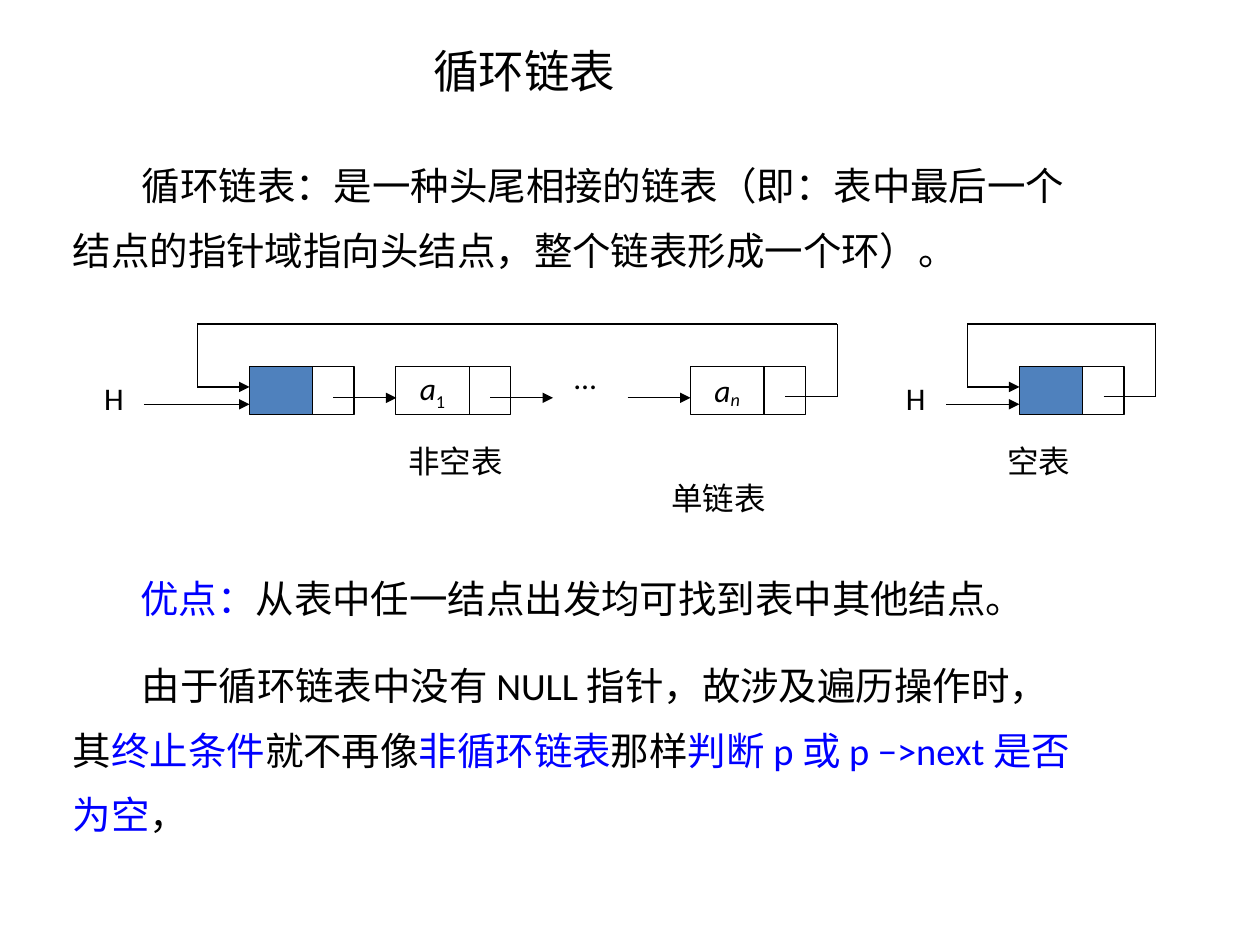
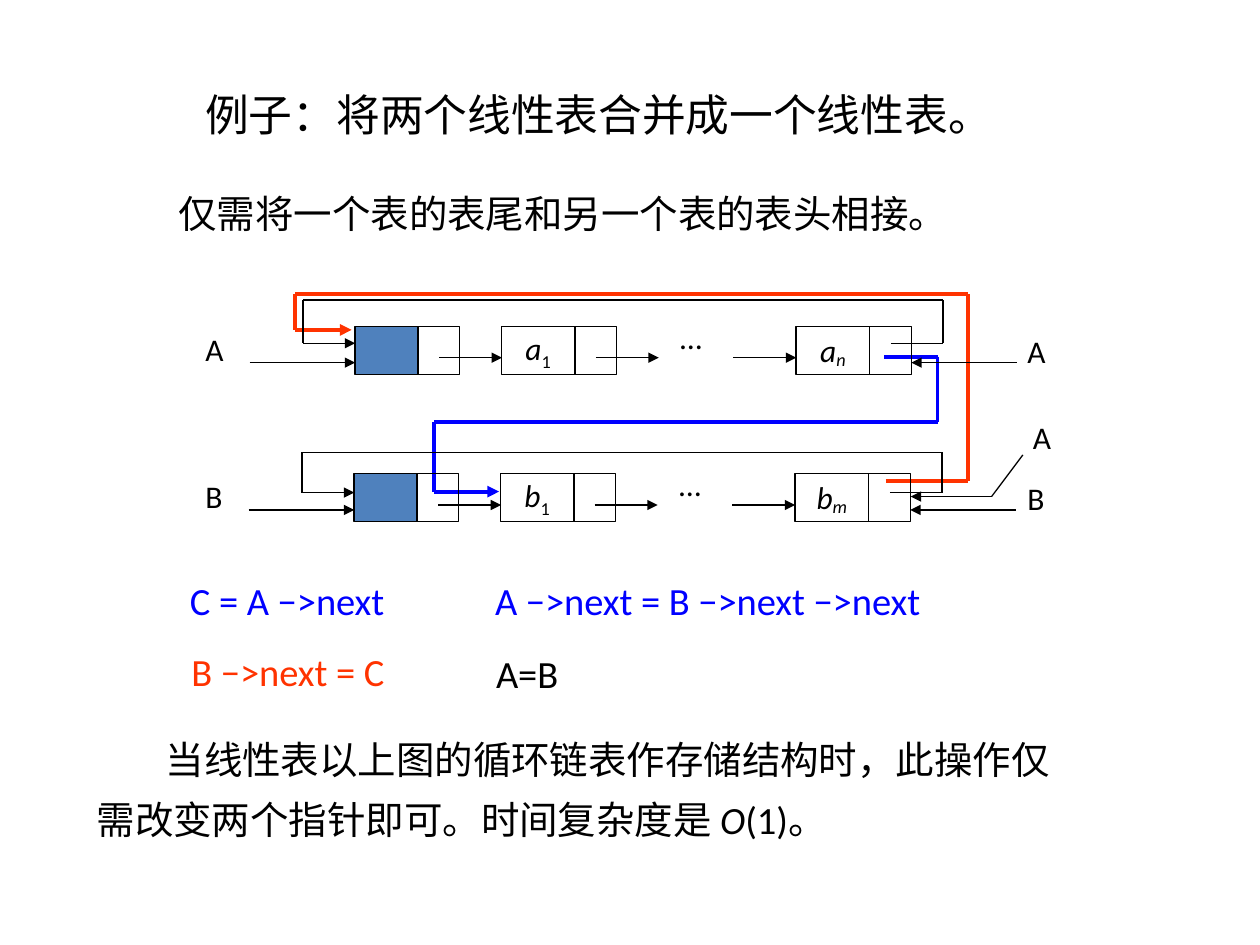
from lxml import etree
from pptx import Presentation
from pptx import util as u
from pptx.dml import color
from pptx.enum import lang, shapes, text
from pptx.oxml import ns

COLORS = {"black": "000000", "blue": "0000FF", "red": "FF3300", "head": "4F81BD"}
FONT = "Calibri"

# List geometry in centimetres, measured from the head node's corner
HEAD, DATA, POINTER, HEIGHT = 1.27, 1.48, 0.84, 0.97
FIRST_NODE, LAST_NODE = 2.95, 8.89
ARROW, ARROW_DROP = 1.27, 0.63
LOOP_SIDE = 1.05


def rgb(name):
    return color.RGBColor.from_string(COLORS[name])


class Deck:
    """Holds the style and the current slide."""

    def __init__(self):
        self.presentation = Presentation()
        self.presentation.slide_width = u.Cm(25.4)
        self.presentation.slide_height = u.Cm(19.05)
        self.slide = None

    def new_slide(self):
        self.slide = self.presentation.slides.add_slide(self.presentation.slide_layouts[6])

    def run(self, paragraph, content, size, shade="black", italic=False, baseline=0):
        run = paragraph.add_run()
        run.text = content
        font = run.font
        font.name, font.size, font.italic = FONT, u.Pt(size), italic
        font.color.rgb = rgb(shade)
        font.language_id = lang.MSO_LANGUAGE_ID.SIMPLIFIED_CHINESE
        if baseline:
            run._r.get_or_add_rPr().set("baseline", str(baseline * 1000))

    def text(self, box, paragraphs, size=22, spacing=None, indent=0):
        """Each paragraph is a list of runs: (content, colour, italic)."""
        frame = self.slide.shapes.add_textbox(*map(u.Cm, box)).text_frame
        frame.word_wrap = True
        for index, runs in enumerate(paragraphs):
            paragraph = frame.add_paragraph() if index else frame.paragraphs[0]
            if spacing:
                paragraph.line_spacing = spacing
            if indent and index == 0:
                paragraph._p.get_or_add_pPr().set("indent", str(u.Cm(indent)))
            for content, *style in runs:
                self.run(paragraph, content, size, *style)

    def label(self, left, top, content, width=1.7):
        self.text((left, top, width, 1.27), [[(content,)]], size=18)

    def cell(self, left, top, width, fill=None):
        shape = self.slide.shapes.add_shape(
            shapes.MSO_SHAPE.RECTANGLE, *map(u.Cm, (left, top, width, HEIGHT)))
        shape.shadow.inherit = False
        if fill:
            shape.fill.solid()
            shape.fill.fore_color.rgb = rgb(fill)
        else:
            shape.fill.background()
        shape.line.color.rgb = rgb("black")
        shape.line.width = u.Pt(0.75)
        return shape

    def route(self, *points, shade="black", width=0.75, arrow=True):
        """Straight segments through the points, with an arrowhead at the end."""
        for start, end in zip(points, points[1:]):
            line = self.slide.shapes.add_connector(
                shapes.MSO_CONNECTOR.STRAIGHT, *map(u.Cm, start + end))
            line.line.color.rgb = rgb(shade)
            line.line.width = u.Pt(width)
            properties = line._element.spPr
            if arrow and end is points[-1]:
                etree.SubElement(properties.get_or_add_ln(), ns.qn("a:tailEnd"), type="triangle")
            etree.SubElement(properties, ns.qn("a:effectLst"))

    def head(self, left, top):
        self.cell(left, top, HEAD, "head")
        self.cell(left + HEAD, top, POINTER)

    def node(self, left, top, letter, index):
        frame = self.cell(left, top, DATA).text_frame
        frame.word_wrap = False
        frame.vertical_anchor = text.MSO_ANCHOR.MIDDLE
        paragraph = frame.paragraphs[0]
        paragraph.alignment = text.PP_ALIGN.CENTER
        self.run(paragraph, letter, 18, italic=True)
        is_letter = index.isalpha()
        self.run(paragraph, index, 18, italic=is_letter, baseline=-14 if is_letter else -25)
        self.cell(left + DATA, top, POINTER)

    def linked_list(self, left, top, letter, last):
        self.head(left, top)
        self.node(left + FIRST_NODE, top, letter, "1")
        self.node(left + LAST_NODE, top, letter, last)
        self.label(left + 6.3, top - 0.3, "…")
        from_first = FIRST_NODE + DATA + POINTER / 2
        for start in (HEAD + POINTER / 2, from_first, LAST_NODE - ARROW):
            y = top + ARROW_DROP
            self.route((left + start, y), (left + start + ARROW, y))

    def loop(self, left, top, tail, rise, tail_drop, head_drop):
        """The last pointer, led back over the list to its head."""
        right, roof = left + tail + LOOP_SIDE, top - rise
        entry = top + head_drop
        self.route((left + tail, top + tail_drop), (right, top + tail_drop), (right, roof),
                   (left - LOOP_SIDE, roof), (left - LOOP_SIDE, entry), (left, entry))


def circular_list_slide(deck):
    deck.new_slide()
    deck.text((8.48, 0.74, 4.42, 1.37), [[("循环链表",)]], size=26)
    deck.text((1.22, 2.77, 20.93, 2.74), [
        [("循环链表：是一种头尾相接的链表（即：表中最后一个",)],
        [("结点的指针域指向头结点，整个链表形成一个环）。",)],
    ], spacing=1.4, indent=1.39)

    # Non-empty and empty list
    top, full, empty = 7.39, 5.03, 20.55
    deck.linked_list(full, top, "a", "n")
    deck.head(empty, top)
    for left, tail, start, name in ((full, 10.8, 2.9, 1.85), (empty, 1.7, 19.08, 18.01)):
        deck.loop(left, top, tail, rise=0.86, tail_drop=0.61, head_drop=0.41)
        deck.route((start, 8.15), (left, 8.15))
        deck.label(name, 7.52, "H")
    deck.label(7.98, 8.79, "非空表", 3.81)
    deck.label(20.06, 8.79, "空表", 2.6)
    deck.label(13.28, 9.53, "单链表", 3.81)

    # Advantage and stop condition
    deck.text((1.19, 11.46, 20.14, 1.19), [
        [("优点：", "blue"), ("从表中任一结点出发均可找到表中其他结点。",)],
    ], indent=1.39)
    deck.text((1.22, 12.85, 21.11, 4.22), [
        [("由于循环链表中没有 NULL 指针，故涉及遍历操作时，",)],
        [("其",), ("终止条件", "blue"), ("就不再像",), ("非循环链表", "blue"),
         ("那样",), ("判断 p 或 p −>next 是否", "blue")],
        [("为空", "blue"), ("，",)],
    ], spacing=1.4, indent=1.39)


def merge_slide(deck):
    deck.new_slide()
    deck.text((3.89, 1.32, 16.74, 1.52), [[("例子：将两个线性表合并成一个线性表。",)]],
              size=25, spacing=1.3)
    deck.text((3.35, 3.71, 18.16, 1.19), [[("仅需将一个表的表尾和另一个表的表头相接。",)]])

    # New links made by the merge
    deck.route((17.86, 9.7), (19.51, 9.7), (19.51, 5.92), (5.94, 5.92), (5.94, 6.65),
               (7.09, 6.65), shade="red", width=2.25)
    deck.route((17.83, 7.19), (18.9, 7.19), (18.9, 8.51), (8.74, 8.51), (8.74, 9.91),
               (10.06, 9.91), shade="blue", width=2.25)

    # The two lists with their head and tail pointers
    for name, left, top, letter, last, rise, drop in (
            ("A", 7.16, 6.58, "a", "n", 0.53, 0.34),
            ("B", 7.14, 9.55, "b", "m", 0.43, 0.38)):
        deck.linked_list(left, top, letter, last)
        deck.loop(left, top, 10.8, rise, drop, drop)
        y, right = top + 0.73, left + LAST_NODE + DATA + POINTER
        deck.route((left - 2.13, y), (left, y))
        deck.route((right + 2.13, y), (right, y))
        deck.label(3.89, top - 0.05, name, 1.35)
        deck.label(20.46, top - 0.02, name, 1.35)
    deck.label(20.57, 8.31, "A", 1.35)
    deck.route((20.62, 9.17), (19.99, 10.01), (18.36, 10.01))

    # Statements
    for left, top, width, statement, shade in (
            (3.58, 11.51, 4.75, "C = A −>next", "blue"),
            (9.73, 11.51, 9.63, "A −>next = B −>next −>next", "blue"),
            (3.61, 12.93, 4.72, "B −>next = C", "red"),
            (9.75, 12.98, 1.93, "A=B", "black")):
        deck.text((left, top, width, 1.19), [[(statement, shade)]])

    # Conclusion
    deck.text((1.7, 14.43, 20.14, 2.59), [
        [("当线性表以上图的循环链表作存储结构时，此操作仅",)],
        [("需改变两个指针即可。时间复杂度是 ",), ("O", "black", True), ("(1)。",)],
    ], spacing=1.3, indent=1.39)


def main():
    deck = Deck()
    circular_list_slide(deck)
    merge_slide(deck)
    deck.presentation.save("out.pptx")


if __name__ == "__main__":
    main()
